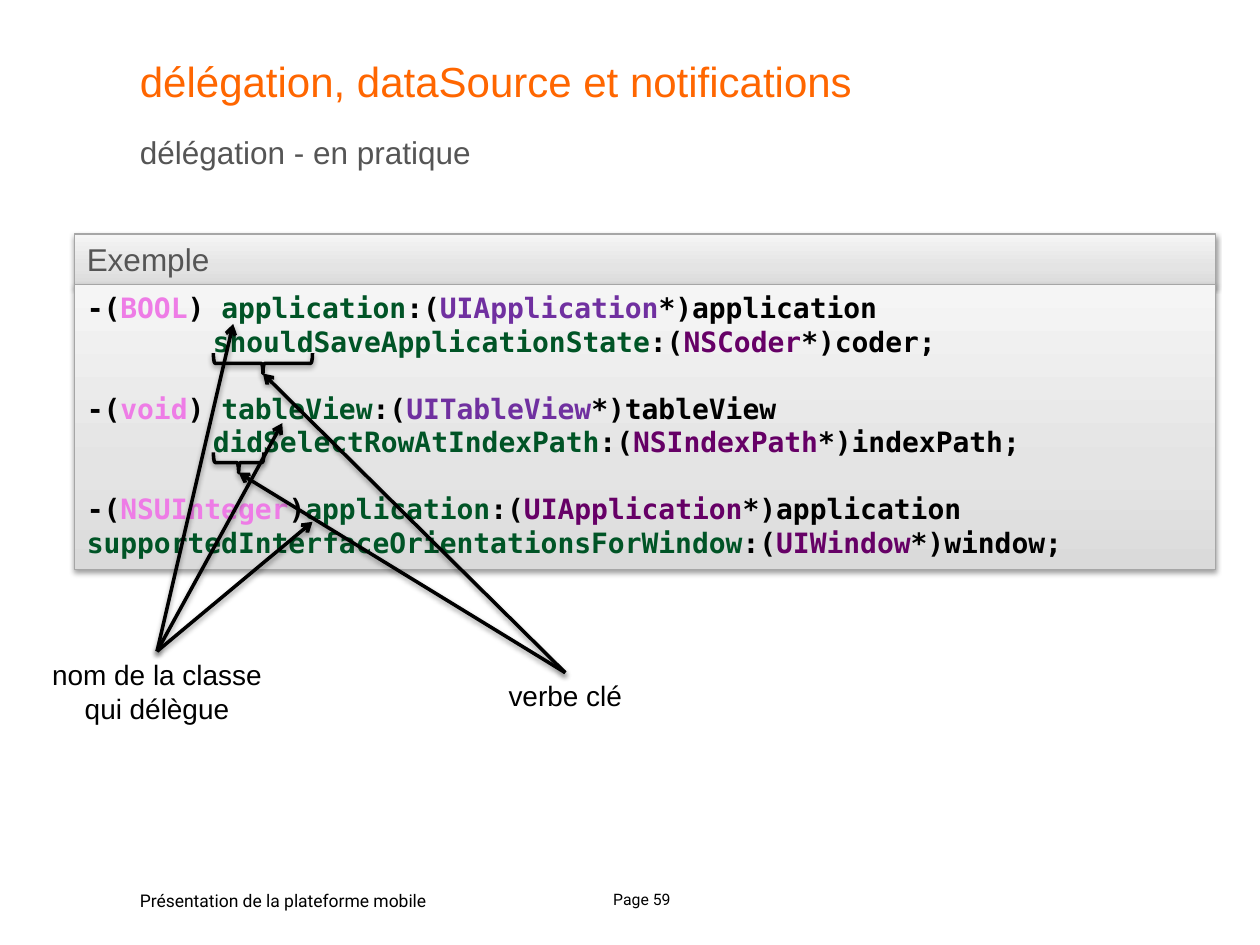
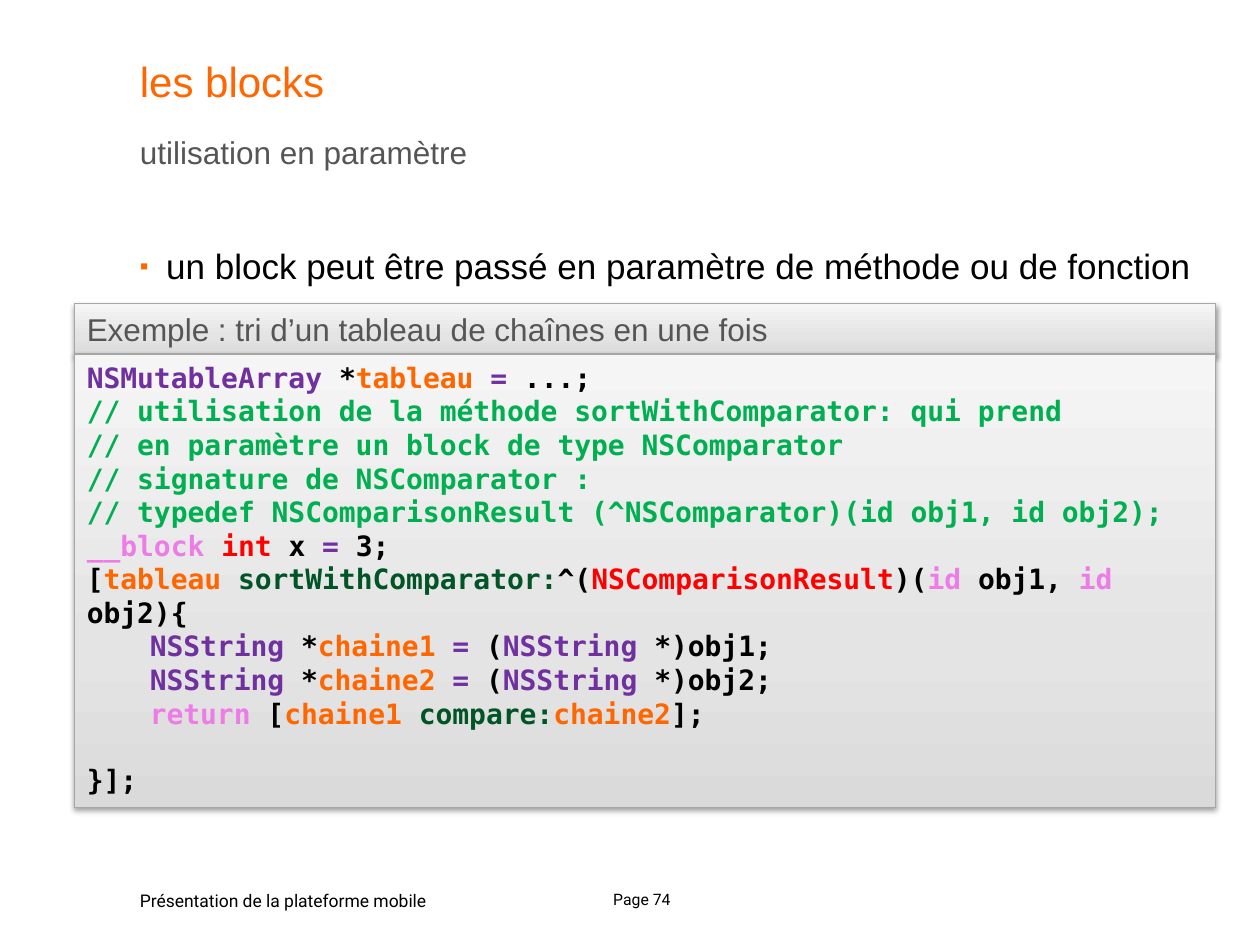
from pptx import Presentation
from pptx import util as u
from pptx.dml.color import RGBColor
from pptx.enum import shapes, text
from pptx.oxml import parse_xml
from pptx.oxml.ns import nsdecls

BLACK, GREY, ORANGE = "000000", "555555", "FF6600"
PINK, GREEN, PURPLE = "EE7CE6", "005426", "7030A0"
PLUM, COMMENT, RED = "660066", "00B050", "FF0000"
EDGE = "A6A6A6"
GRADIENT = [(0, "DADADA"), (35, "E4E4E4"), (100, "F5F5F5")]
CODE_FONT = "DejaVu Sans Mono"
FOOTER = "Présentation de la plateforme mobile"

# Lengths are in centimetres
LEFT, WIDTH = 2.82, 21.69
PANEL_LEFT, PANEL_WIDTH, HEADER_HEIGHT = 1.5, 23.01, 1.02
BLANK_LINE = 19  # points

# A code line is (indent, space before, runs); a run is (text, colour)
METHODS = [
    (0, 0, [("-(", BLACK), ("BOOL", PINK), (") ", BLACK), ("application", GREEN),
            (":(", BLACK), ("UIApplication", PURPLE), ("*)application", BLACK)]),
    (2.54, 0, [("shouldSaveApplicationState", GREEN), (":(", BLACK),
               ("NSCoder", PLUM), ("*)coder;", BLACK)]),
    (0, BLANK_LINE, [("-(", BLACK), ("void", PINK), (") ", BLACK), ("tableView", GREEN),
                     (":(", BLACK), ("UITableView", PURPLE), ("*)tableView", BLACK)]),
    (2.54, 0, [("didSelectRowAtIndexPath", GREEN), (":(", BLACK),
               ("NSIndexPath", PLUM), ("*)indexPath;", BLACK)]),
    (0, BLANK_LINE, [("-(", BLACK), ("NSUInteger", PINK), (")", BLACK),
                     ("application", GREEN), (":(", BLACK), ("UIApplication", PLUM),
                     ("*)application", BLACK)]),
    (0, 0, [("supportedInterfaceOrientationsForWindow", GREEN), (":(", BLACK),
            ("UIWindow", PLUM), ("*)window;", BLACK)]),
]

COMMENTS = [
    "// utilisation de la méthode sortWithComparator: qui prend",
    "// en paramètre un block de type NSComparator",
    "// signature de NSComparator :",
    "// typedef NSComparisonResult (^NSComparator)(id obj1, id obj2);",
]
SORT = [
    (0, 0, [("NSMutableArray ", PURPLE), ("*", BLACK), ("tableau ", ORANGE),
            ("= ", PURPLE), ("...;", BLACK)]),
    *[(0, 0, [(comment, COMMENT)]) for comment in COMMENTS],
    (0, 0, [("__block ", PINK), ("int ", RED), ("x ", BLACK), ("= ", PURPLE),
            ("3;", BLACK)]),
    (0, 0, [("[", BLACK), ("tableau ", ORANGE), ("sortWithComparator:", GREEN),
            ("^(", BLACK), ("NSComparisonResult", RED), (")(", BLACK), ("id ", PINK),
            ("obj1, ", BLACK), ("id ", PINK), ("obj2){", BLACK)]),
    *[(1.27, 0, [("NSString ", PURPLE), ("*", BLACK), (f"chaine{n} ", ORANGE),
                 ("= ", PURPLE), ("(", BLACK), ("NSString ", PURPLE),
                 (f"*)obj{n};", BLACK)]) for n in (1, 2)],
    (1.27, 0, [("return", PINK), (" [", BLACK), ("chaine1 ", ORANGE),
               ("compare:", GREEN), ("chaine2", ORANGE), ("];", BLACK)]),
    (0, BLANK_LINE, [("}];", BLACK)]),
]

# Braces under the key verbs: left, top, width
BRACES = [(4.3, 7.12, 2.0), (4.3, 9.12, 1.02)]
BRACE_DEPTH = 0.41
CLASS_NAMES = [(4.7, 6.53), (5.69, 8.53), (6.3, 10.52)]
VERBS = [(left + width / 2, top + BRACE_DEPTH) for left, top, width in BRACES]
# Labels: text, box, arrow targets
LABELS = [
    ("nom de la classe qui délègue", (0.64, 13.13, 5.05, 1.63), CLASS_NAMES),
    ("verbe clé", (9.68, 13.56, 3.43, 0.94), VERBS),
]


def rgb(color):
    return RGBColor.from_string(color)


def lengths(*values):
    return [u.Cm(value) for value in values]


def write(paragraph, content, *, size, color=BLACK, font="Arial", bold=False,
          align=text.PP_ALIGN.LEFT):
    """Add one formatted run to the paragraph."""
    paragraph.alignment = align
    run = paragraph.add_run()
    run.text = content
    run.font.size, run.font.name, run.font.bold = u.Pt(size), font, bold
    run.font.color.rgb = rgb(color)


def indent(paragraph, left, first=0):
    properties = paragraph._p.get_or_add_pPr()
    properties.set("marL", str(u.Cm(left)))
    properties.set("indent", str(u.Cm(first)))
    return properties


def set_frame(shape, insets=None, wrap=True, anchor=text.MSO_ANCHOR.TOP):
    """Set wrapping, anchor and (horizontal, vertical) insets; return the paragraph."""
    frame = shape.text_frame
    frame.word_wrap, frame.vertical_anchor = wrap, anchor
    frame.auto_size = text.MSO_AUTO_SIZE.NONE
    if insets:
        frame.margin_left = frame.margin_right = u.Cm(insets[0])
        frame.margin_top = frame.margin_bottom = u.Cm(insets[1])
    return frame.paragraphs[0]


def add_text(slide, content, box, *, insets=None, wrap=True,
             anchor=text.MSO_ANCHOR.TOP, **style):
    shape = slide.shapes.add_textbox(*lengths(*box))
    paragraph = set_frame(shape, insets, wrap, anchor)
    write(paragraph, content, **style)
    return paragraph


def set_outline(shape, color, width):
    """Draw the outline and the soft shadow below it."""
    shape.line.color.rgb = rgb(color)
    shape.line.width = u.Pt(width)
    shape._element.spPr.append(parse_xml(
        f'<a:effectLst {nsdecls("a")}><a:outerShdw blurRad="40000" dist="20000" '
        'dir="5400000" rotWithShape="0"><a:srgbClr val="000000">'
        '<a:alpha val="38000"/></a:srgbClr></a:outerShdw></a:effectLst>'))


def add_band(group, top, height, anchor):
    band = group.shapes.add_shape(shapes.MSO_SHAPE.RECTANGLE,
                                  *lengths(PANEL_LEFT, top, PANEL_WIDTH, height))
    stops = "".join(f'<a:gs pos="{position * 1000}"><a:srgbClr val="{color}"/></a:gs>'
                    for position, color in GRADIENT)
    band._element.spPr.append(parse_xml(
        f'<a:gradFill {nsdecls("a")} rotWithShape="1"><a:gsLst>{stops}</a:gsLst>'
        '<a:lin ang="16200000" scaled="0"/></a:gradFill>'))
    set_outline(band, EDGE, 0.75)
    return band, set_frame(band, anchor=anchor)


def add_code_panel(slide, heading, lines, top, height):
    group = slide.shapes.add_group_shape()
    _, paragraph = add_band(group, top, HEADER_HEIGHT, text.MSO_ANCHOR.MIDDLE)
    write(paragraph, heading, size=18, color=GREY)
    code, paragraph = add_band(group, top + HEADER_HEIGHT, height, text.MSO_ANCHOR.TOP)
    for number, (left, before, runs) in enumerate(lines):
        if number:
            paragraph = code.text_frame.add_paragraph()
        indent(paragraph, left)
        paragraph.space_before = u.Pt(before)
        for content, color in runs:
            write(paragraph, content, size=16, color=color, font=CODE_FONT, bold=True)


def add_arrow(slide, start, end):
    arrow = slide.shapes.add_connector(shapes.MSO_CONNECTOR.STRAIGHT,
                                       *lengths(*start, *end))
    set_outline(arrow, BLACK, 2)
    arrow.line._get_or_add_ln().append(
        parse_xml(f'<a:tailEnd {nsdecls("a")} type="arrow"/>'))


def add_brace(slide, left, top, width):
    """Add a brace that opens upwards, from its place after the quarter turn."""
    center_x, center_y = left + width / 2, top + BRACE_DEPTH / 2
    brace = slide.shapes.add_shape(
        shapes.MSO_SHAPE.RIGHT_BRACE,
        *lengths(center_x - BRACE_DEPTH / 2, center_y - width / 2, BRACE_DEPTH, width))
    brace.rotation = 90
    brace.fill.background()
    set_outline(brace, BLACK, 2)


def add_bullet(slide, content, box):
    paragraph = add_text(slide, content, box, insets=(0, 0), size=20)
    properties = indent(paragraph, 0.53, -0.53)
    for markup in (f'<a:buClr {nsdecls("a")}><a:srgbClr val="{ORANGE}"/></a:buClr>',
                   f'<a:buSzPct {nsdecls("a")} val="70000"/>',
                   f'<a:buFont {nsdecls("a")} typeface="Arial"/>',
                   f'<a:buChar {nsdecls("a")} char="▪"/>'):
        properties.append(parse_xml(markup))


def add_slide(presentation, title, subtitle, page):
    slide = presentation.slides.add_slide(presentation.slide_layouts[5])
    heading = slide.shapes.title
    heading.left, heading.top, heading.width, heading.height = lengths(
        LEFT, 1.12, WIDTH, 1.37)
    write(set_frame(heading, (0, 0)), title, size=24, color=ORANGE)
    add_text(slide, subtitle, (LEFT, 2.69, WIDTH, 0.84), insets=(0, 0),
             size=18, color=GREY)
    add_text(slide, FOOTER, (LEFT, 17.81, 6.91, 0.61), insets=(0, 0.13), wrap=False,
             size=10, font="Roboto")
    add_text(slide, f"Page {page}", (11.91, 17.83, 2.06, 0.61),
             anchor=text.MSO_ANCHOR.MIDDLE, size=9, font="Roboto",
             align=text.PP_ALIGN.CENTER)
    return slide


def build_delegation(presentation):
    slide = add_slide(presentation, "délégation, dataSource et notifications",
                      "délégation - en pratique", 59)
    add_code_panel(slide, "Exemple", METHODS, 4.72, 5.74)
    for brace in BRACES:
        add_brace(slide, *brace)
    for content, box, targets in LABELS:
        add_text(slide, content, box, size=16, align=text.PP_ALIGN.CENTER)
        left, top, width, _ = box
        for target in targets:
            add_arrow(slide, (left + width / 2, top), target)


def build_blocks(presentation):
    slide = add_slide(presentation, "les blocks", "utilisation en paramètre", 74)
    add_code_panel(slide, "Exemple : tri d’un tableau de chaînes en une fois",
                   SORT, 6.12, 9.14)
    add_bullet(slide, "un block peut être passé en paramètre de méthode ou de fonction",
               (LEFT, 4.93, WIDTH, 1.19))


def main():
    presentation = Presentation()
    presentation.slide_width, presentation.slide_height = lengths(25.4, 19.05)
    build_delegation(presentation)
    build_blocks(presentation)
    presentation.save("out.pptx")


if __name__ == "__main__":
    main()
